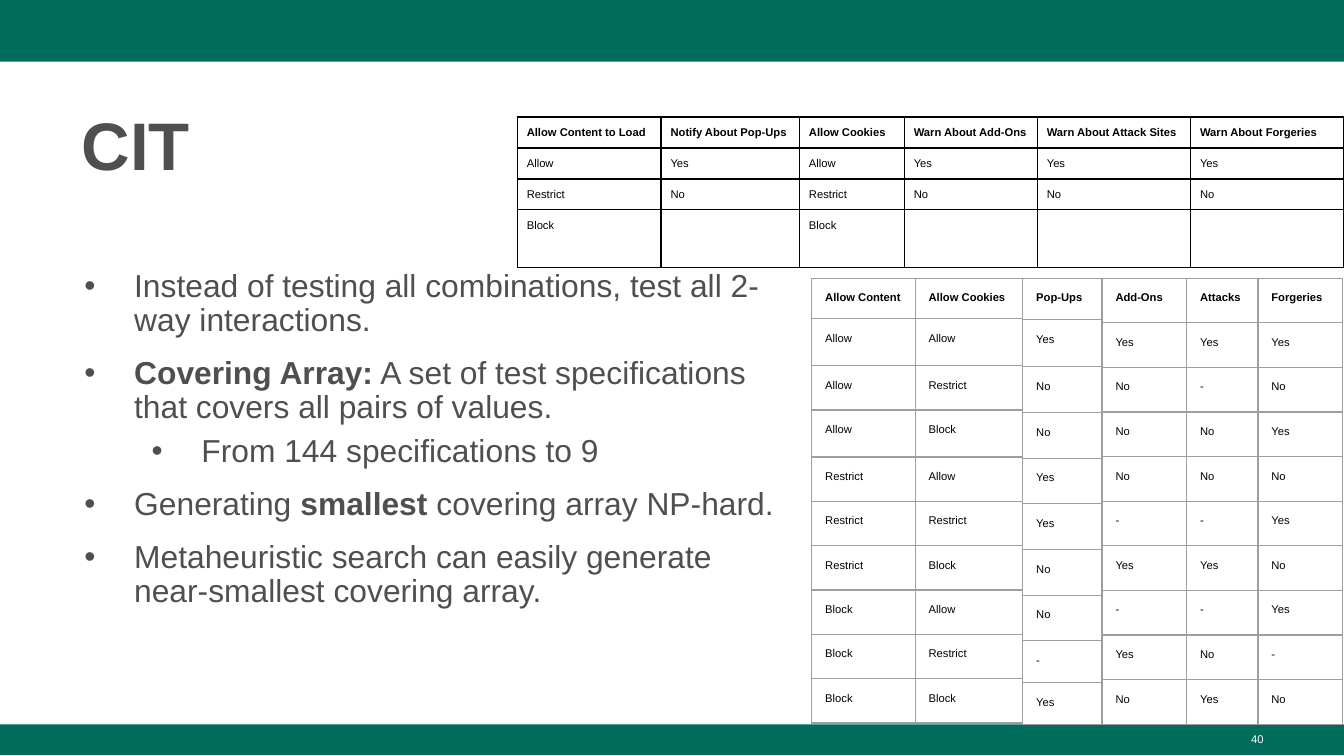
from itertools import accumulate

from lxml.etree import SubElement
from pptx import Presentation
from pptx.dml.color import RGBColor
from pptx.enum.shapes import MSO_SHAPE
from pptx.enum.text import MSO_ANCHOR, PP_ALIGN
from pptx.oxml.ns import qn
from pptx.util import Inches, Pt

THEME = {
    "font": "Arial",
    "band": "006C5C", "text": "4F4F4F", "cell": "000000", "page": "FFFFFF",
    "option_border": "000000", "array_border": "9E9E9E",
    "title_size": 36, "body_size": 17, "small_size": 6,
}

SLIDE_WIDTH = 10
SLIDE_HEIGHT = SLIDE_WIDTH * 9 / 16

TITLE = "CIT"
PAGE_NUMBER = "40"
BANDS = [(0, 0.46), (5.39, 0.23)]  # top, height

# (level, [(text, bold), ...])
BULLETS = [
    (0, [("Instead of testing all combinations, test all 2-way interactions.", False)]),
    (0, [("Covering Array:", True),
         (" A set of test specifications that covers all pairs of values.", False)]),
    (1, [("From 144 specifications to 9", False)]),
    (0, [("Generating ", False), ("smallest", True), (" covering array NP-hard.", False)]),
    (0, [("Metaheuristic search can easily generate near-smallest covering array.", False)]),
]

OPTIONS = [
    ("Allow Content to Load", "Notify About Pop-Ups", "Allow Cookies",
     "Warn About Add-Ons", "Warn About Attack Sites", "Warn About Forgeries"),
    ("Allow", "Yes", "Allow", "Yes", "Yes", "Yes"),
    ("Restrict", "No", "Restrict", "No", "No", "No"),
    ("Block", "", "Block", "", "", ""),
]
OPTION_WIDTHS = [1.07, 1.03, 0.78, 0.99, 1.14, 1.14]
OPTION_HEIGHTS = [0.23, 0.23, 0.23, 0.42]

COVERING_ARRAY = [
    ("Allow Content", "Allow Cookies", "Pop-Ups", "Add-Ons", "Attacks", "Forgeries"),
    ("Allow", "Allow", "Yes", "Yes", "Yes", "Yes"),
    ("Allow", "Restrict", "No", "No", "-", "No"),
    ("Allow", "Block", "No", "No", "No", "Yes"),
    ("Restrict", "Allow", "Yes", "No", "No", "No"),
    ("Restrict", "Restrict", "Yes", "-", "-", "Yes"),
    ("Restrict", "Block", "No", "Yes", "Yes", "No"),
    ("Block", "Allow", "No", "-", "-", "Yes"),
    ("Block", "Restrict", "-", "Yes", "No", "-"),
    ("Block", "Block", "Yes", "No", "Yes", "No"),
]
ARRAY_WIDTHS = [0.77, 0.8, 0.59, 0.63, 0.53, 0.63]
EVEN_HEIGHTS = [3.32 / len(COVERING_ARRAY)] * len(COVERING_ARRAY)
# The covering array is split into side-by-side tables: (first column, end column, row heights)
ARRAY_PARTS = [
    (0, 2, [0.29, 0.35, 0.33, 0.35] + [0.33] * 6),
    (2, 3, [0.31, 0.35] + [0.34] * 6 + [0.31] * 2),
    (3, 4, EVEN_HEIGHTS),
    (4, 5, EVEN_HEIGHTS),
    (5, 6, EVEN_HEIGHTS),
]
ARRAY_LEFT, ARRAY_TOP = 6.04, 2.07


def add_run(paragraph, text, size, color, bold=False):
    run = paragraph.add_run()
    run.text = text
    run.font.name = THEME["font"]
    run.font.size = Pt(THEME[size])
    run.font.bold = bold
    run.font.color.rgb = RGBColor.from_string(THEME[color])


def add_text_frame(slide, left, top, width, height):
    frame = slide.shapes.add_textbox(*map(Inches, (left, top, width, height))).text_frame
    frame.word_wrap = True
    frame.vertical_anchor = MSO_ANCHOR.TOP
    return frame


def add_band(slide, top, height):
    band = slide.shapes.add_shape(
        MSO_SHAPE.RECTANGLE, 0, Inches(top), Inches(SLIDE_WIDTH), Inches(height))
    band.shadow.inherit = False
    band.fill.solid()
    band.fill.fore_color.rgb = RGBColor.from_string(THEME["band"])
    band.line.fill.background()


def set_bullet(paragraph, level):
    properties = paragraph._p.get_or_add_pPr()
    properties.set("marL", str(Inches(0.5 * (level + 1))))
    properties.set("indent", str(Inches(-0.37)))
    color = SubElement(properties, qn("a:buClr"))
    SubElement(color, qn("a:srgbClr"), val=THEME["text"])
    SubElement(properties, qn("a:buFont"), typeface=THEME["font"])
    SubElement(properties, qn("a:buChar"), char="•")


def add_bullets(slide):
    frame = add_text_frame(slide, 0.4, 1.96, 5.52, 3.32)
    for index, (level, runs) in enumerate(BULLETS):
        paragraph = frame.add_paragraph() if index else frame.paragraphs[0]
        paragraph.level = level
        set_bullet(paragraph, level)
        paragraph.line_spacing = 0.9
        if index:
            paragraph.space_before = Pt(5 if level else 10)
        for text, bold in runs:
            add_run(paragraph, text, "body_size", "text", bold)


def set_borders(cell, color, width):
    properties = cell._tc.get_or_add_tcPr()
    for position, side in enumerate(("a:lnL", "a:lnR", "a:lnT", "a:lnB")):
        line = SubElement(properties, qn(side), w=str(Pt(width)))
        properties.insert(position, line)  # borders come before the fill
        fill = SubElement(line, qn("a:solidFill"))
        SubElement(fill, qn("a:srgbClr"), val=THEME[color])


def add_grid(slide, left, top, widths, heights, rows, margin, bottom_margin,
             border, border_width):
    """Add a bordered, unfilled table whose first row is bold."""
    table = slide.shapes.add_table(
        len(rows), len(widths), Inches(left), Inches(top),
        Inches(sum(widths)), Inches(sum(heights))).table
    table.first_row = table.horz_banding = False
    for column, width in zip(table.columns, widths):
        column.width = Inches(width)
    for row_index, (row, height) in enumerate(zip(rows, heights)):
        table.rows[row_index].height = Inches(height)
        for column_index, text in enumerate(row):
            cell = table.cell(row_index, column_index)
            cell.margin_left = cell.margin_right = cell.margin_top = Inches(margin)
            cell.margin_bottom = Inches(bottom_margin)
            cell.fill.background()
            set_borders(cell, border, border_width)
            if text:
                add_run(cell.text_frame.paragraphs[0], text,
                        "small_size", "cell", row_index == 0)


def main():
    presentation = Presentation()
    presentation.slide_width = Inches(SLIDE_WIDTH)
    presentation.slide_height = Inches(SLIDE_HEIGHT)
    slide = presentation.slides.add_slide(presentation.slide_layouts[6])

    for top, height in BANDS:
        add_band(slide, top, height)

    page = add_text_frame(slide, 7.17, 5.4, 2.33, 0.23).paragraphs[0]
    page.alignment = PP_ALIGN.RIGHT
    add_run(page, PAGE_NUMBER, "small_size", "page")

    title = add_text_frame(slide, 0.51, 0.67, 8.99, 0.73).paragraphs[0]
    title.line_spacing = 1.08
    add_run(title, TITLE, "title_size", "text", True)

    add_bullets(slide)
    add_grid(slide, 3.85, 0.87, OPTION_WIDTHS, OPTION_HEIGHTS, OPTIONS,
             0.07, 0.06, "option_border", 1)

    lefts = list(accumulate(ARRAY_WIDTHS, initial=ARRAY_LEFT))
    for first, end, heights in ARRAY_PARTS:
        add_grid(slide, lefts[first], ARRAY_TOP, ARRAY_WIDTHS[first:end], heights,
                 [row[first:end] for row in COVERING_ARRAY], 0.1, 0.1,
                 "array_border", 0.75)

    presentation.save("out.pptx")


if __name__ == "__main__":
    main()
